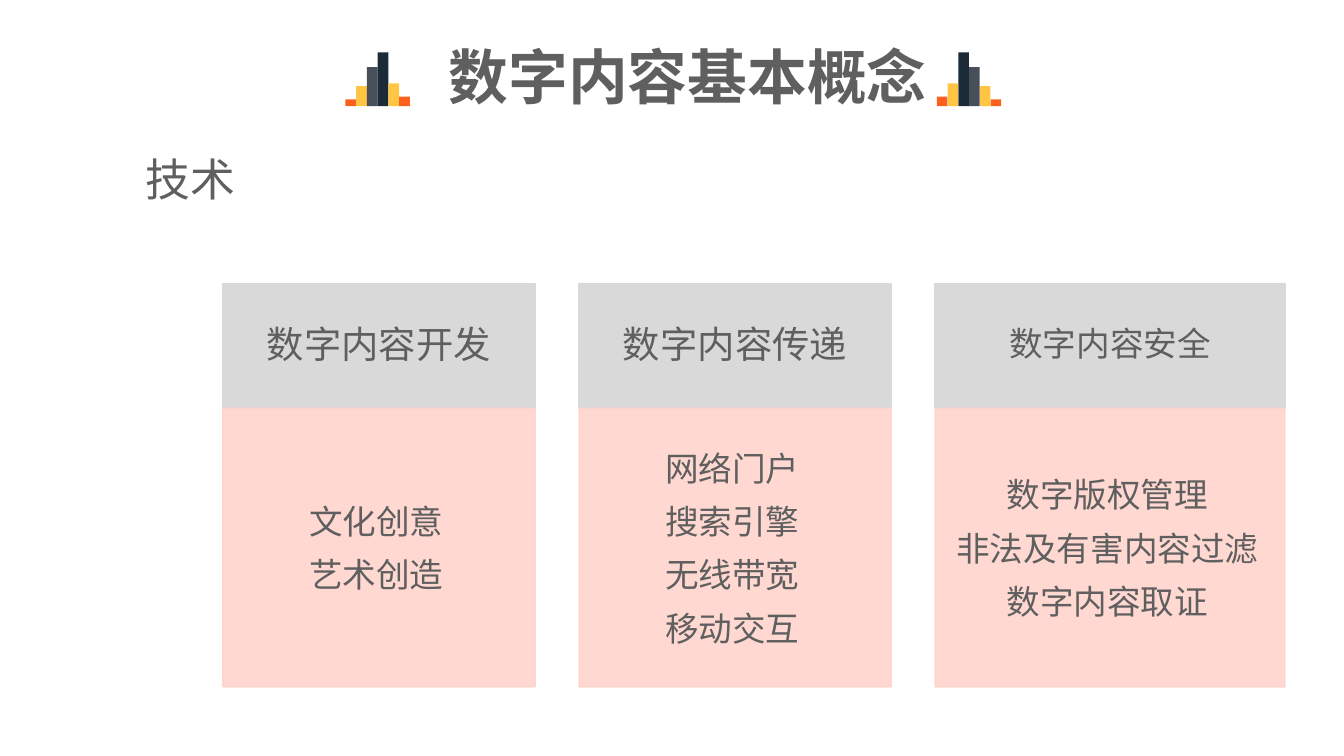
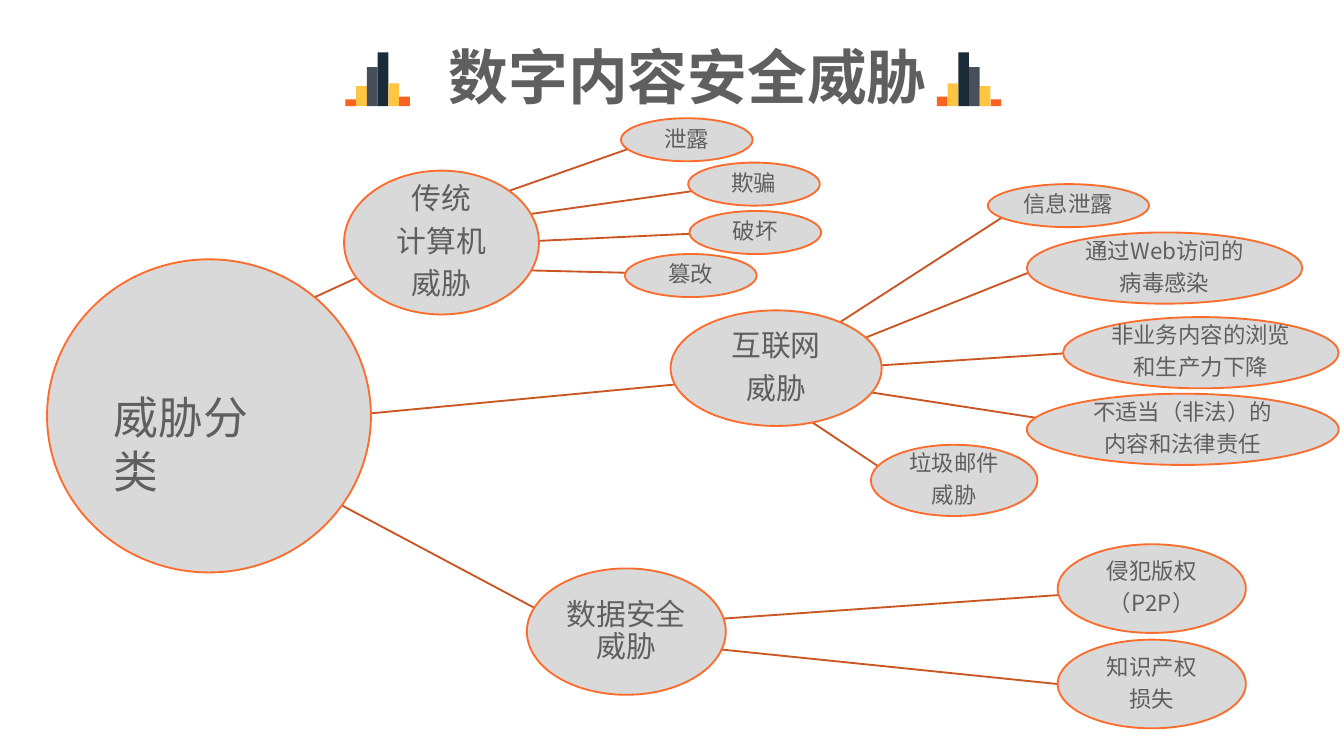
from lxml.etree import SubElement
from pptx import Presentation
from pptx.dml.color import RGBColor
from pptx.enum.shapes import MSO_CONNECTOR, MSO_SHAPE
from pptx.enum.text import MSO_ANCHOR as ANCHOR, PP_ALIGN as ALIGN
from pptx.oxml.ns import qn
from pptx.util import Inches, Pt

INK = "5F5F5F"
GREY = "D9D9D9"
PINK = "FED4CD"
RIM = "FC6C2C"
LINK = "CA5623"
CJK = "Noto Sans CJK SC"
LATIN = "Arial"


def paint(fill, color):
    fill.solid()
    fill.fore_color.rgb = RGBColor.from_string(color)


def write(shape, lines, size, font, align=ALIGN.LEFT, anchor=ANCHOR.TOP,
          insets=(0.1, 0.05, 0.1, 0.05), spacing=1.0, after=0.0, bold=False):
    """Fill a shape with one paragraph per line; after is a share of the size."""
    frame = shape.text_frame
    frame.word_wrap = True
    frame.vertical_anchor = anchor
    (frame.margin_left, frame.margin_top,
     frame.margin_right, frame.margin_bottom) = map(Inches, insets)
    for number, line in enumerate(lines):
        para = frame.add_paragraph() if number else frame.paragraphs[0]
        para.alignment = align
        para.line_spacing = spacing
        para.space_after = Pt(after * size)
        span = para.add_run()
        span.text = line
        span.font.name = font
        span.font.size = Pt(size)
        span.font.bold = bold
        paint(span.font.fill, INK)


deck = Presentation()
deck.slide_width = Inches(10)
deck.slide_height = Inches(10 * 9 / 16)

# Shared heading: title between two mirrored bar icons
BARS = [(0.05, "FC611F"), (0.15, "FFC543"), (0.29, "464F5A"),
        (0.4, "1C2B38"), (0.17, "FFC543"), (0.07, "FC611F")]
BAR_WIDTH = 0.08
BAR_BASE = 0.79
pages = []
for title in ("数字内容基本概念", "数字内容安全威胁"):
    page = deck.slides.add_slide(deck.slide_layouts[6])
    pages.append(page)
    box = page.shapes.add_textbox(Inches(3.24), Inches(0.24), Inches(3.81), Inches(0.81))
    write(box, [title], 32, CJK, anchor=ANCHOR.MIDDLE, spacing=0.6, bold=True)
    for start, step in ((2.57, BAR_WIDTH), (7.37, -BAR_WIDTH)):
        icon = page.shapes.add_group_shape()
        for number, (height, color) in enumerate(BARS):
            bar = icon.shapes.add_shape(
                MSO_SHAPE.RECTANGLE, Inches(start + number * step),
                Inches(BAR_BASE - height), Inches(BAR_WIDTH), Inches(height))
            bar.shadow.inherit = False
            paint(bar.fill, color)
            bar.line.fill.background()
concept_page, threat_page = pages

# Slide 1: three technology cards
box = concept_page.shapes.add_textbox(Inches(0.91), Inches(1.08), Inches(0.98), Inches(0.5))
write(box, [" 技术"], 24, CJK)

CARDS = [
    ("数字内容开发", 20, 2.32, ["文化创意", "艺术创造"]),
    ("数字内容传递", 20, 2.32, ["网络门户", "搜索引擎", "无线带宽", "移动交互"]),
    ("数字内容安全", 18, 2.6, ["数字版权管理", "非法及有害内容过滤", "数字内容取证"]),
]
CARD_GAP = 0.33
left = 1.66
for heading, heading_size, width, topics in CARDS:
    head = concept_page.shapes.add_shape(
        MSO_SHAPE.RECTANGLE, Inches(left), Inches(2.11), Inches(width), Inches(0.93))
    body = concept_page.shapes.add_shape(
        MSO_SHAPE.RECTANGLE, Inches(left), Inches(3.04), Inches(width), Inches(2.07))
    for part, color in ((head, GREY), (body, PINK)):
        part.shadow.inherit = False
        paint(part.fill, color)
        paint(part.line.fill, color)
        part.line.width = Pt(1)
    for tint in body._element.spPr.iter(qn("a:srgbClr")):
        SubElement(tint, qn("a:alpha"), val="90000")
    write(head, [heading], heading_size, LATIN, ALIGN.CENTER, ANCHOR.MIDDLE,
          (0.16, 0.09, 0.16, 0.09), 0.9, 0.35)
    write(body, topics, 18, LATIN, ALIGN.CENTER, ANCHOR.MIDDLE,
          (0.1, 0.1, 0.14, 0.16), 1.2, 0.15)
    left += width + CARD_GAP

# Slide 2: each threat has its lines, oval (left, top, width, height) and incoming link
HUBS = [
    (["互联网", "威胁"], (4.99, 2.31, 1.57, 0.86), (2.61, 3.09, 5.14, 2.85)),
    (["数据安全威胁"], (3.92, 4.23, 1.48, 0.94), (2.43, 3.7, 4.14, 4.61)),
    (["传统", "计算机", "威胁"], (2.56, 1.27, 1.45, 1.07), (1.78, 2.47, 3.28, 1.78)),
]
LEAVES = [
    (["信息泄露"], (7.35, 1.37, 1.2, 0.32), (6.03, 2.54, 7.67, 1.48)),
    (["通过Web访问的", "病毒感染"], (7.64, 1.73, 2.05, 0.53), (6.02, 2.68, 7.95, 1.91)),
    (["非业务内容的浏览", "和生产力下降"], (7.91, 2.36, 2.05, 0.53), (6.07, 2.75, 7.91, 2.63)),
    (["不适当（非法）的", "内容和法律责任"], (7.64, 2.93, 2.32, 0.53), (5.96, 2.84, 7.78, 3.12)),
    (["垃圾邮件", "威胁"], (6.48, 3.31, 1.24, 0.53), (5.83, 3, 6.61, 3.52)),
    (["侵犯版权", "（P2P）"], (7.87, 4.05, 1.4, 0.66), (5.14, 4.62, 7.99, 4.42)),
    (["知识产权", "损失"], (7.87, 4.76, 1.4, 0.66), (5.24, 4.82, 7.87, 5.09)),
    (["泄露"], (4.62, 0.88, 0.98, 0.32), (3.59, 1.49, 4.84, 1.05)),
    (["欺骗"], (5.12, 1.21, 0.98, 0.32), (3.68, 1.63, 5.24, 1.41)),
    (["破坏"], (5.13, 1.57, 0.98, 0.32), (3.84, 1.8, 5.13, 1.74)),
    (["篡改"], (4.65, 1.89, 0.98, 0.32), (3.85, 2.01, 5.08, 2.04)),
]
ROOT = ([], (0.35, 1.93, 2.41, 2.33), None)

for lines, place, ends in HUBS + LEAVES:
    link = threat_page.shapes.add_connector(MSO_CONNECTOR.STRAIGHT, *map(Inches, ends))
    paint(link.line.fill, LINK)
    link.line.width = Pt(1)
    SubElement(link._element.spPr, qn("a:effectLst"))

for size, font, threats in ((16, LATIN, [ROOT] + HUBS), (12, CJK, LEAVES)):
    for lines, place, ends in threats:
        oval = threat_page.shapes.add_shape(MSO_SHAPE.OVAL, *map(Inches, place))
        oval.shadow.inherit = False
        paint(oval.fill, GREY)
        paint(oval.line.fill, RIM)
        oval.line.width = Pt(1)
        write(oval, lines, size, font, ALIGN.CENTER, ANCHOR.MIDDLE,
              (0, 0, 0, 0), 0.9, 0.35)

box = threat_page.shapes.add_textbox(Inches(0.75), Inches(2.85), Inches(1.53), Inches(0.48))
write(box, ["威胁分类"], 24, CJK, insets=(0.1, 0.05, 0.12, 0.05))

deck.save("out.pptx")
